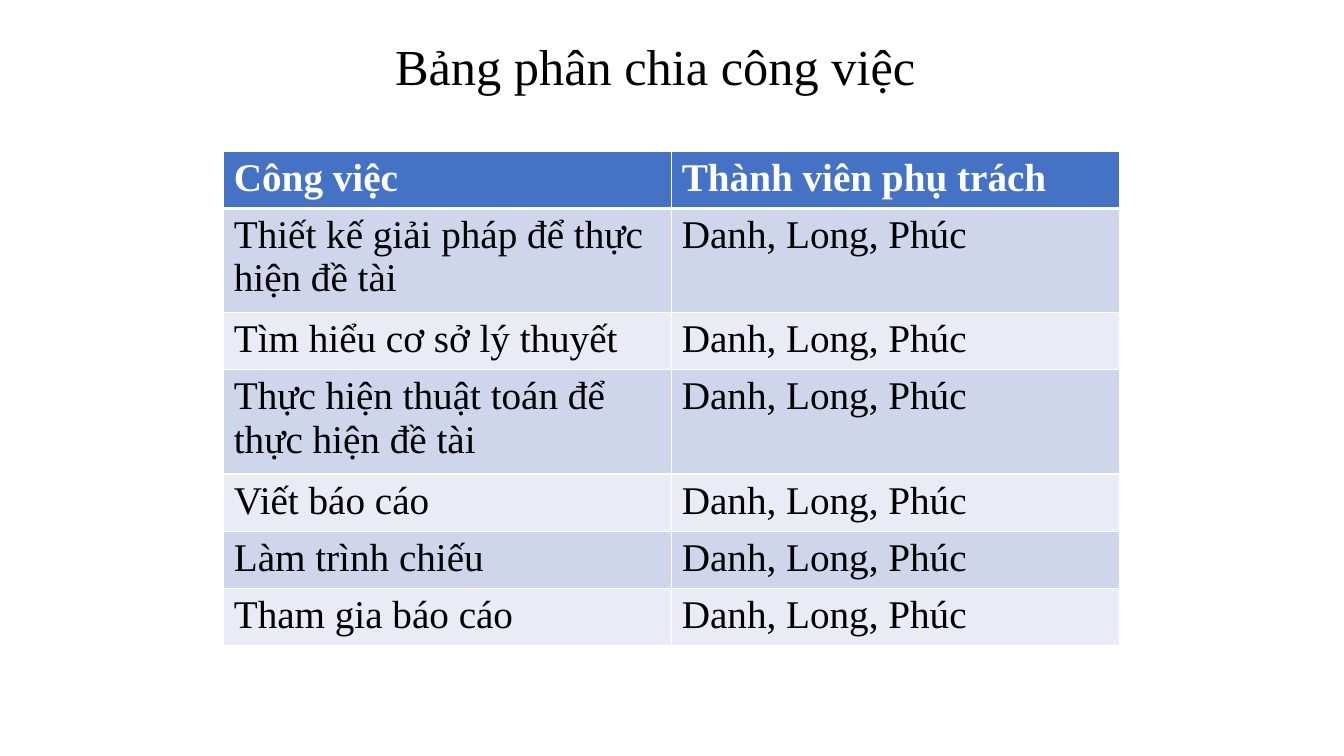
from lxml import etree
from pptx import Presentation
from pptx import util as u
from pptx.dml.color import RGBColor
from pptx.enum import text
from pptx.oxml.ns import qn

WORK = [
    "Thiết kế giải pháp để thực hiện đề tài",
    "Tìm hiểu cơ sở lý thuyết",
    "Thực hiện thuật toán để thực hiện đề tài",
    "Viết báo cáo",
    "Làm trình chiếu",
    "Tham gia báo cáo",
]
MEMBERS = "Danh, Long, Phúc"


def color(hex_code):
    return RGBColor.from_string(hex_code)


def write(frame, content, font="Times New Roman", size=28, fill="000000",
          bold=False, align=text.PP_ALIGN.LEFT):
    paragraph = frame.paragraphs[0]
    paragraph.alignment = align
    run = paragraph.add_run()
    run.text = content
    run.font.name = font
    run.font.size = u.Pt(size)
    run.font.bold = bold
    run.font.color.rgb = color(fill)


class SlideBuilder:
    header_fill = "4472C4"
    band_fills = ("E9EBF5", "CFD5EA")
    border_color = "FFFFFF"

    def __init__(self, presentation):
        self.slide = presentation.slides.add_slide(presentation.slide_layouts[5])

    def title(self, content, left, top, width, height):
        shape = self.slide.shapes.title
        shape.left, shape.top = u.Cm(left), u.Cm(top)
        shape.width, shape.height = u.Cm(width), u.Cm(height)
        frame = shape.text_frame
        frame.word_wrap = True
        frame.auto_size = text.MSO_AUTO_SIZE.SHAPE_TO_FIT_TEXT
        frame.vertical_anchor = text.MSO_ANCHOR.TOP
        write(frame, content, size=36, align=text.PP_ALIGN.CENTER)

    def border(self, cell, side, points):
        properties = cell._tc.get_or_add_tcPr()
        line = etree.SubElement(properties, qn(f"a:ln{side}"), w=str(u.Pt(points)))
        solid = etree.SubElement(line, qn("a:solidFill"))
        etree.SubElement(solid, qn("a:srgbClr"), val=self.border_color)

    def table(self, rows, left, top, width, row_height):
        table = self.slide.shapes.add_table(
            len(rows), len(rows[0]), u.Cm(left), u.Cm(top),
            u.Cm(width), u.Cm(row_height * len(rows))).table
        for row, values in enumerate(rows):
            header = row == 0
            for column, value in enumerate(values):
                cell = table.cell(row, column)
                # Thick rule between the header and the first band
                widths = {"L": 1, "R": 1, "T": 3 if row == 1 else 1,
                          "B": 3 if header else 1}
                for side, points in widths.items():
                    self.border(cell, side, points)
                cell.fill.solid()
                cell.fill.fore_color.rgb = color(
                    self.header_fill if header else self.band_fills[row % 2])
                write(cell.text_frame, value, bold=header,
                      fill="FFFFFF" if header else "000000")


def main():
    presentation = Presentation()
    presentation.slide_width = u.Cm(33.87)
    presentation.slide_height = u.Cm(19.05)
    builder = SlideBuilder(presentation)

    # Heading
    builder.title("Bảng phân chia công việc", 4.83, 0.76, 23.37, 1.8)

    # Work assignment table
    rows = [("Công việc", "Thành viên phụ trách")]
    rows += [(task, MEMBERS) for task in WORK]
    builder.table(rows, left=5.64, top=3.81, width=22.58, row_height=1.03)

    presentation.save("out.pptx")


if __name__ == "__main__":
    main()
